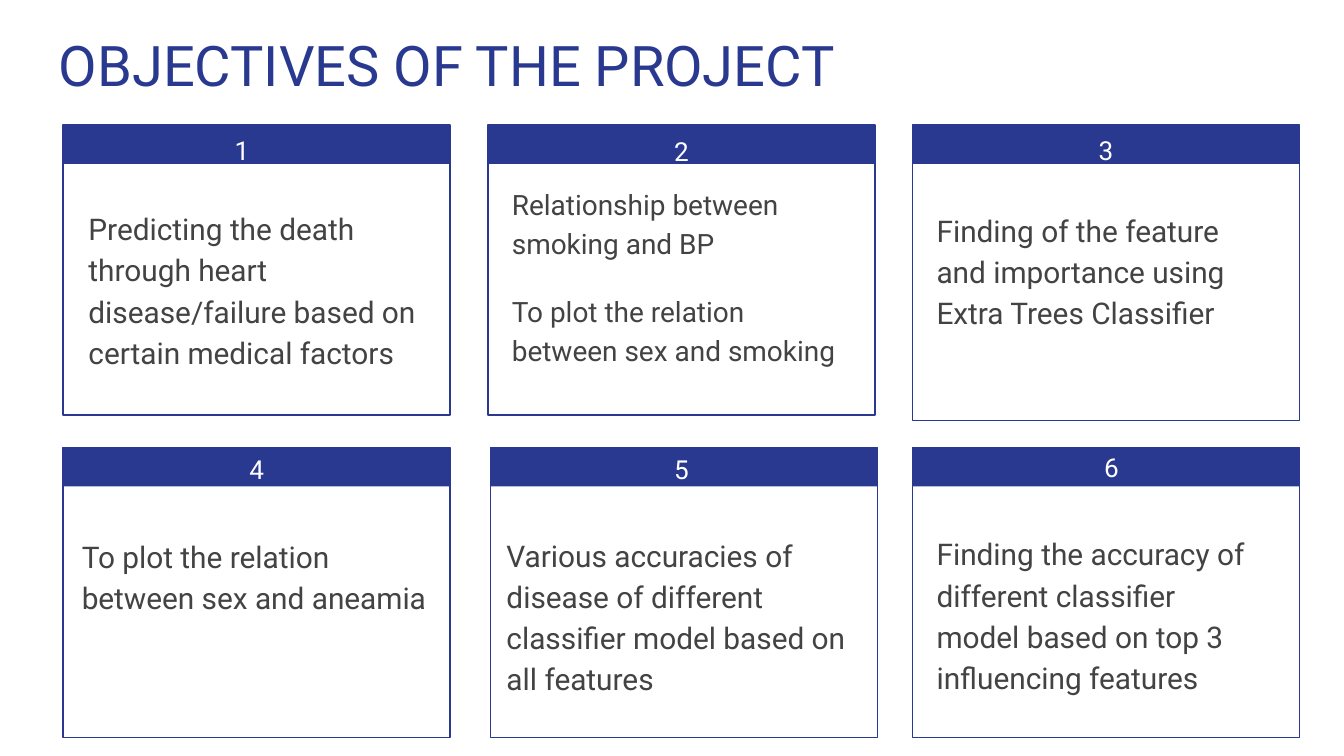
from pptx import Presentation
from pptx.dml.color import RGBColor
from pptx.enum.shapes import MSO_SHAPE
from pptx.enum.text import MSO_ANCHOR, PP_ALIGN
from pptx.util import Inches, Pt

RECT = MSO_SHAPE.RECTANGLE
TOP = MSO_ANCHOR.TOP
LEFT, CENTER = PP_ALIGN.LEFT, PP_ALIGN.CENTER
BLUE, GREY, WHITE = "2A3990", "434343", "FFFFFF"
FONT = "Roboto"

TITLE = "OBJECTIVES OF THE PROJECT"
# Paragraphs, text size, text box (dx, dy, width), number offset (dx, dy)
CARDS = [
    (["Predicting the death through heart disease/failure based on "
      "certain medical factors"], 16, (0.09, 0.5, 2.71), (0.18, -0.03)),
    (["Relationship between smoking and BP",
      "To plot the relation between sex and smoking"],
     15, (0.08, 0.33, 2.71), (0.29, -0.02)),
    (["Finding of the feature and importance using Extra Trees Classifier"],
     16, (0.08, 0.51, 2.71), (0.29, -0.03)),
    (["To plot the relation between sex and aneamia"],
     16, (0.04, 0.54, 2.79), (0.29, -0.06)),
    (["Various accuracies of disease of different classifier model based on "
      "all features"], 16, (0.02, 0.53, 2.88), (0.27, -0.06)),
    (["Finding the accuracy of different classifier model based on top 3 "
      "influencing features"], 16, (0.08, 0.52, 2.61), (0.33, -0.07)),
]

# Grid
WIDTH = 10
HEIGHT = WIDTH * 9 / 16
COLS, ROWS = (0.47, 3.63, 6.79), (0.93, 3.33)
WIDE, HIGH, BAR = 2.88, 2.16, 0.29
NUDGE = {5: 0.02}      # card 5 sits slightly to the right
TALL = {3: 0.04}       # card 3 is slightly taller

prs = Presentation()
prs.slide_width, prs.slide_height = Inches(WIDTH), Inches(HEIGHT)
slide = prs.slides.add_slide(prs.slide_layouts[6])


def color(code):
    return RGBColor.from_string(code)


def add_text(paras, x, y, w, h, size, ink=GREY, align=LEFT, lead=None, gap=0):
    frame = slide.shapes.add_textbox(*map(Inches, (x, y, w, h))).text_frame
    frame.word_wrap = True
    frame.vertical_anchor = TOP
    frame.margin_left = frame.margin_right = Inches(0.1)
    frame.margin_top = frame.margin_bottom = Inches(0.1)
    for i, words in enumerate(paras):
        para = frame.add_paragraph() if i else frame.paragraphs[0]
        para.alignment = align
        if lead:
            para.line_spacing = lead
        if i:
            para.space_before = Pt(gap)
        run = para.add_run()
        run.text = words
        run.font.name, run.font.size = FONT, Pt(size)
        run.font.color.rgb = color(ink)


def add_box(x, y, w, h, fill=None, line=None):
    box = slide.shapes.add_shape(RECT, *map(Inches, (x, y, w, h)))
    box.shadow.inherit = False
    if fill:
        box.fill.solid()
        box.fill.fore_color.rgb = color(fill)
    else:
        box.fill.background()
    if line:
        box.line.color.rgb = color(line)
        box.line.width = Pt(0.75)
    else:
        box.line.fill.background()


# Title
add_text([TITLE], 0.34, 0.13, 9.32, 0.66, 30, ink=BLUE)

# Cards: header bar, frame, text and number
for i, (paras, size, (dx, dy, w), (nx, ny)) in enumerate(CARDS):
    num = i + 1
    row, col = divmod(i, len(COLS))
    x, y = COLS[col] + NUDGE.get(num, 0), ROWS[row]
    add_box(x, y, WIDE, BAR, fill=BLUE)
    add_box(x, y, WIDE, HIGH + TALL.get(num, 0), line=BLUE)
    add_text(paras, x + dx, y + dy, w, 1.5, size, lead=1.15, gap=16)
    add_text([str(num)], x + nx, y + ny, 2.3, 0.26, 14, ink=WHITE, align=CENTER)

prs.save("out.pptx")
